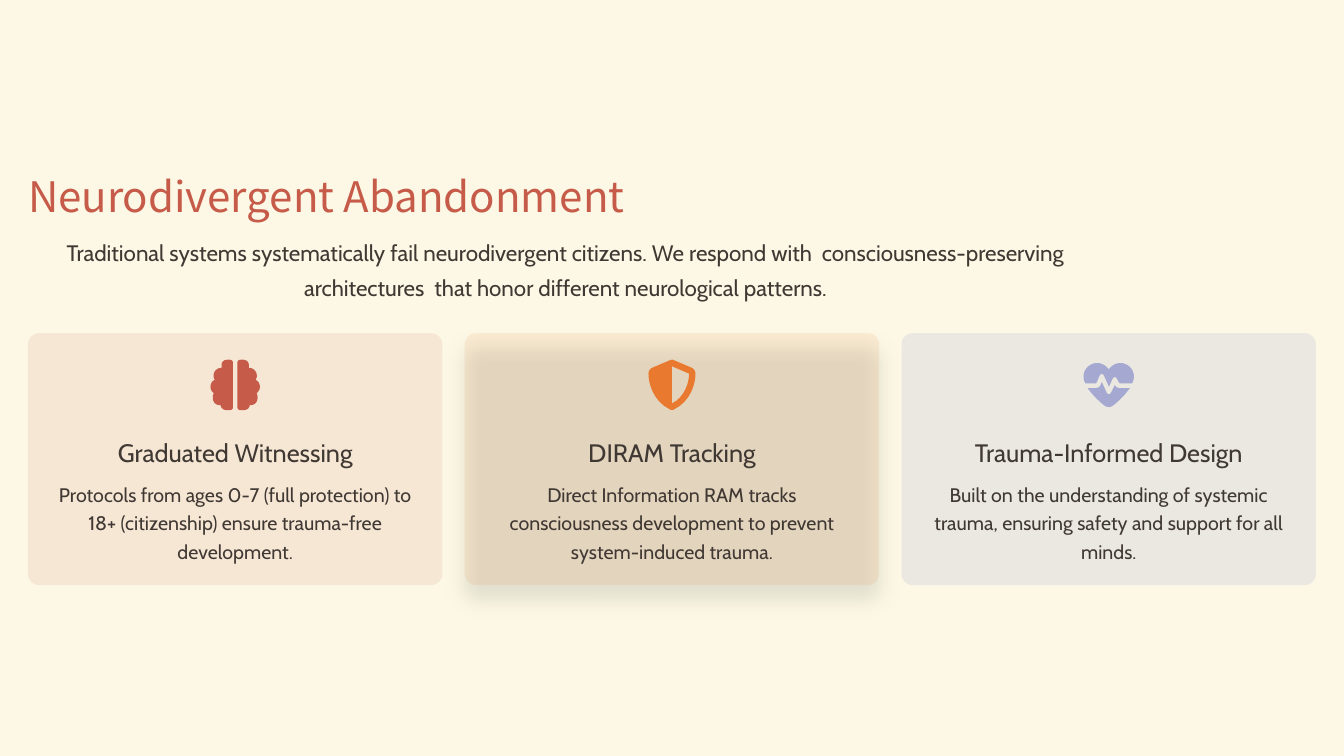
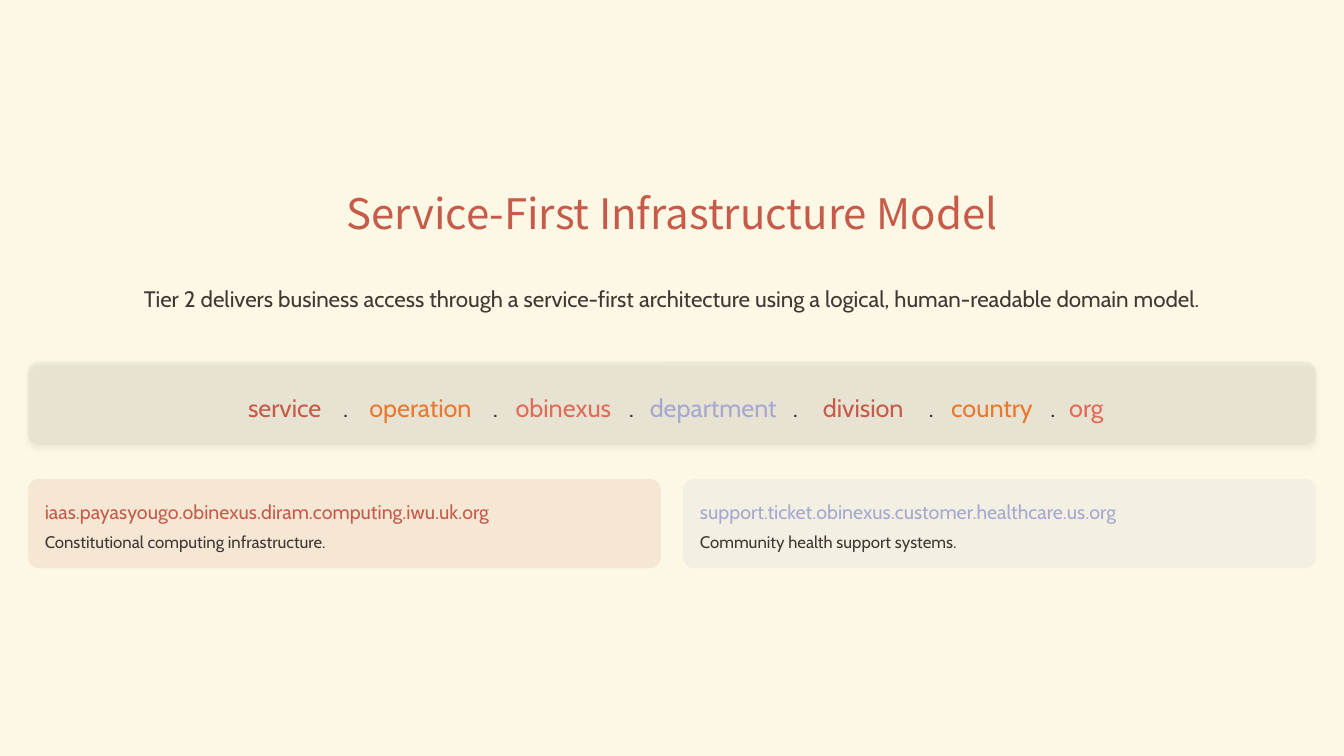
from lxml import etree
from pptx import Presentation
from pptx.dml.color import RGBColor
from pptx.enum import shapes, text
from pptx.oxml import ns
from pptx.util import Pt

COLORS = {
    "page": "FCF8E5", "ink": "403833", "red": "C65B49", "orange": "E9792E",
    "coral": "E06C59", "lavender": "A5A8D1", "black": "000000",
}
TITLE_FONT, BODY_FONT = "Noto Sans CJK SC", "Cabin"
LEFT, CENTER = text.PP_ALIGN.LEFT, text.PP_ALIGN.CENTER
WIDTH, HEIGHT = 960, 540
MARGIN, GAP, RADIUS = 20, 16, 8
ICON_SIZE, ICON_GRID = 36, 50


def mirrored(contour):
    """Flip a contour left to right on the icon grid."""
    return [tuple(ICON_GRID - value if index % 2 == 0 else value
                  for index, value in enumerate(segment)) for segment in contour]


# Contours on a 50 x 50 grid: pairs are line ends, sixes are cubic curves.
BRAIN_HALF = [
    (11.5, 5), (11.5, 2, 14, 0, 17, 0), (19.5, 0), (21.5, 0, 22.8, 1.2, 22.8, 3),
    (22.8, 47), (22.8, 49, 21.5, 50, 19.5, 50), (16.5, 50),
    (13.5, 50, 10.8, 48, 10.5, 45), (9.5, 45), (5.5, 45, 2.8, 42, 2.8, 37.5),
    (2.8, 36, 3, 34.5, 3.8, 33.2), (1.8, 31.5, 0.5, 29.5, 0.5, 27),
    (0.5, 23.5, 2.2, 21, 4.8, 20), (4, 18.5, 3.5, 17.5, 3.5, 16),
    (3.5, 11.5, 7, 8, 11.5, 8),
]
ICONS = {
    "brain": [BRAIN_HALF, mirrored(BRAIN_HALF)],
    "shield": [
        [(25, 0), (26, 0, 26, 0, 26.5, 0.3), (44, 7.7), (46.7, 8.8, 48.3, 11, 48.3, 14),
         (48.3, 23, 44, 41, 27, 49.3), (26, 50, 24, 50, 23, 49.3),
         (6, 41, 1.7, 23, 1.7, 14), (1.7, 11, 3.3, 8.8, 6, 7.7), (23.5, 0.3)],
        [(25, 6.5), (25, 43.3), (38, 37, 42, 22, 42, 13.8)],
    ],
    "heartbeat": [
        [(25, 9.5), (23.8, 8), (21, 5, 17.5, 3.2, 13.5, 3.2), (6, 3.2, 0, 9.2, 0, 16.5),
         (0, 19, 0.7, 21.2, 1.8, 23.3), (12, 23.3), (12.5, 23.3, 12.8, 23, 13, 22.5),
         (16, 15.5), (16.7, 13.7, 19.4, 13.7, 20.2, 15.5), (25.2, 26.7), (29, 18.5),
         (29.8, 16.8, 32.2, 16.8, 33, 18.5), (35.2, 22.7), (36, 23.3), (48.2, 23.3),
         (49.3, 21.2, 50, 19, 50, 16.5), (50, 9.2, 44, 3.2, 36.5, 3.2),
         (32.5, 3.2, 29, 5, 26.2, 8)],
        [(46, 28), (36, 28), (33.8, 28, 32, 27, 31, 25), (27.2, 32.8),
         (26.5, 34.5, 23.8, 34.5, 23, 32.7), (18.2, 22), (17, 24.8),
         (16, 27, 14.2, 28, 12, 28), (4, 28), (9, 35, 16, 42, 21, 45.5),
         (23, 47.3, 27, 47.3, 29, 45.5), (34, 42, 41, 35, 46, 28)],
    ],
}

ABANDONMENT = {
    "title": "Neurodivergent Abandonment",
    "lead": "Traditional systems systematically fail neurodivergent citizens. We respond "
            "with  consciousness-preserving architectures  that honor different "
            "neurological patterns.",
    # icon, heading, body, colour, fill opacity in percent, shadow (opacity, blur, distance)
    "cards": [
        ("brain", "Graduated Witnessing",
         "Protocols from ages 0-7 (full protection) to 18+ (citizenship) ensure "
         "trauma-free development.", "red", 10, None),
        ("shield", "DIRAM Tracking",
         "Direct Information RAM tracks consciousness development to prevent "
         "system-induced trauma.", "orange", 10, (10, 15, 10)),
        ("heartbeat", "Trauma-Informed Design",
         "Built on the understanding of systemic trauma, ensuring safety and support "
         "for all minds.", "lavender", 20, None),
    ],
}
INFRASTRUCTURE = {
    "title": "Service-First Infrastructure Model",
    "lead": "Tier 2 delivers business access through a service-first architecture using "
            "a logical, human-readable domain model.",
    # label, colour, box width
    "domain": [
        ("service", "red", 108.7), ("operation", "orange", 128.9),
        ("obinexus", "coral", 118.8), ("department", "lavender", 139),
        ("division", "red", 118.8), ("country", "orange", 108.7), ("org", "coral", 69.8),
    ],
    "examples": [
        ("iaas.payasyougo.obinexus.diram.computing.iwu.uk.org",
         "Constitutional computing infrastructure.", "red"),
        ("support.ticket.obinexus.customer.healthcare.us.org",
         "Community health support systems.", "lavender"),
    ],
}


def rgb(color):
    return RGBColor.from_string(COLORS[color])


def place(shape, left, top, width, height):
    shape.left, shape.top = Pt(left), Pt(top)
    shape.width, shape.height = Pt(width), Pt(height)


def write(shape, words, size, color, align, spacing=1.0, font=BODY_FONT):
    frame = shape.text_frame
    frame.word_wrap = True
    frame.auto_size = text.MSO_AUTO_SIZE.NONE
    frame.vertical_anchor = text.MSO_ANCHOR.MIDDLE
    frame.margin_left = frame.margin_right = frame.margin_top = frame.margin_bottom = 0
    frame.text = words
    paragraph = frame.paragraphs[0]
    paragraph.alignment = align
    paragraph.line_spacing = spacing
    paragraph.space_before = Pt(0)
    paragraph.font.name = font
    paragraph.font.size = Pt(size)
    paragraph.font.color.rgb = rgb(color)


def add_label(slide, box, words, size, color="ink", align=CENTER, spacing=1.3):
    shape = slide.shapes.add_textbox(*map(Pt, box))
    write(shape, words, size, color, align, spacing)


def paint(shape, color):
    shape.shadow.inherit = False
    shape.fill.solid()
    shape.fill.fore_color.rgb = rgb(color)
    shape.line.fill.background()


def set_alpha(color_element, percent):
    alpha = etree.SubElement(color_element, ns.qn("a:alpha"))
    alpha.set("val", str(percent * 1000))


def add_panel(slide, box, color, opacity, shadow=None):
    """Add a translucent rounded panel; shadow is (opacity, blur, distance)."""
    shape = slide.shapes.add_shape(shapes.MSO_SHAPE.ROUNDED_RECTANGLE, *map(Pt, box))
    shape.adjustments[0] = RADIUS / min(box[2:])
    paint(shape, color)
    properties = shape._element.spPr
    set_alpha(properties.find(ns.qn("a:solidFill"))[0], opacity)
    if shadow:
        shade, blur, distance = shadow
        outer = etree.SubElement(properties.find(ns.qn("a:effectLst")), ns.qn("a:outerShdw"))
        for name, value in (("blurRad", Pt(blur)), ("dist", Pt(distance)),
                            ("dir", 90 * 60000), ("rotWithShape", 0)):
            outer.set(name, str(int(value)))
        tint = etree.SubElement(outer, ns.qn("a:srgbClr"))
        tint.set("val", COLORS["black"])
        set_alpha(tint, shade)


def flatten(contour, steps=8):
    """Turn lines and cubic curves into a list of points."""
    points = [contour[0]]
    for segment in contour[1:]:
        if len(segment) == 2:
            points.append(segment)
            continue
        start = points[-1]
        for step in range(1, steps + 1):
            t = step / steps
            u = 1 - t
            points.append(tuple(
                u**3 * start[axis] + 3 * u * u * t * segment[axis]
                + 3 * u * t * t * segment[axis + 2] + t**3 * segment[axis + 4]
                for axis in (0, 1)))
    return points


def add_icon(slide, name, color, left, top):
    unit = ICON_SIZE / ICON_GRID
    builder = None
    for contour in ICONS[name]:
        points = [(Pt(x * unit), Pt(y * unit)) for x, y in flatten(contour)]
        if builder is None:
            builder = slide.shapes.build_freeform(*points[0])
        else:
            builder.move_to(*points[0])
        builder.add_line_segments(points[1:], close=True)
    paint(builder.convert_to_shape(Pt(left), Pt(top)), color)


def add_slide(presentation, content, title_box, title_align, lead_box):
    slide = presentation.slides.add_slide(presentation.slide_layouts[5])
    title = slide.shapes.title
    place(title, *title_box)
    write(title, content["title"], 30, "red", title_align, font=TITLE_FONT)
    add_label(slide, lead_box, content["lead"], 16)
    return slide


def columns(count):
    """Return the left edges and the common width of equal columns."""
    width = (WIDTH - 2 * MARGIN - (count - 1) * GAP) / count
    return [MARGIN + index * (width + GAP) for index in range(count)], width


def build_abandonment(presentation):
    slide = add_slide(presentation, ABANDONMENT, (MARGIN, 122, WIDTH, 36), LEFT,
                      (MARGIN, 166, 768, 48))
    cards = ABANDONMENT["cards"]
    lefts, width = columns(len(cards))
    for left, (icon, heading, body, color, opacity, shadow) in zip(lefts, cards):
        add_panel(slide, (left, 238, width, 180), color, opacity, shadow)
        add_icon(slide, icon, color, left + (width - ICON_SIZE) / 2, 257)
        add_label(slide, (left + GAP, 306, width - 2 * GAP, 28), heading, 18)
        add_label(slide, (left + GAP, 342, width - 2 * GAP, 60), body, 14, spacing=1.2)


def build_infrastructure(presentation):
    slide = add_slide(presentation, INFRASTRUCTURE, (0, 134, WIDTH, 36), CENTER,
                      (96, 186, 768, 48))
    add_panel(slide, (MARGIN, 258, WIDTH - 2 * MARGIN, 60), "ink", 5, (5, 4, 2))

    left, top, height = 149, 274, 28
    dot_width, dot_overlap, dot_advance = 50, 35.8, 14
    for index, (label, color, width) in enumerate(INFRASTRUCTURE["domain"]):
        if index:
            add_label(slide, (left, top, dot_width, height), ".", 18)
            left += dot_advance
        add_label(slide, (left, top, width, height), label, 18, color)
        left += width - dot_overlap

    examples = INFRASTRUCTURE["examples"]
    lefts, width = columns(len(examples))
    padding = 12
    for left, (address, caption, color) in zip(lefts, examples):
        add_panel(slide, (left, 342, width, 64), color, 10)
        inner_left, inner_width = left + padding, width - 2 * padding
        add_label(slide, (inner_left, 354, inner_width, 20), address, 14, color, LEFT, 1.2)
        add_label(slide, (inner_left, 378, inner_width, 16), caption, 12, "ink", LEFT, 1.1)


def main():
    presentation = Presentation()
    presentation.slide_width, presentation.slide_height = Pt(WIDTH), Pt(HEIGHT)
    background = presentation.slide_master.background.fill
    background.solid()
    background.fore_color.rgb = rgb("page")
    build_abandonment(presentation)
    build_infrastructure(presentation)
    presentation.save("out.pptx")


if __name__ == "__main__":
    main()
